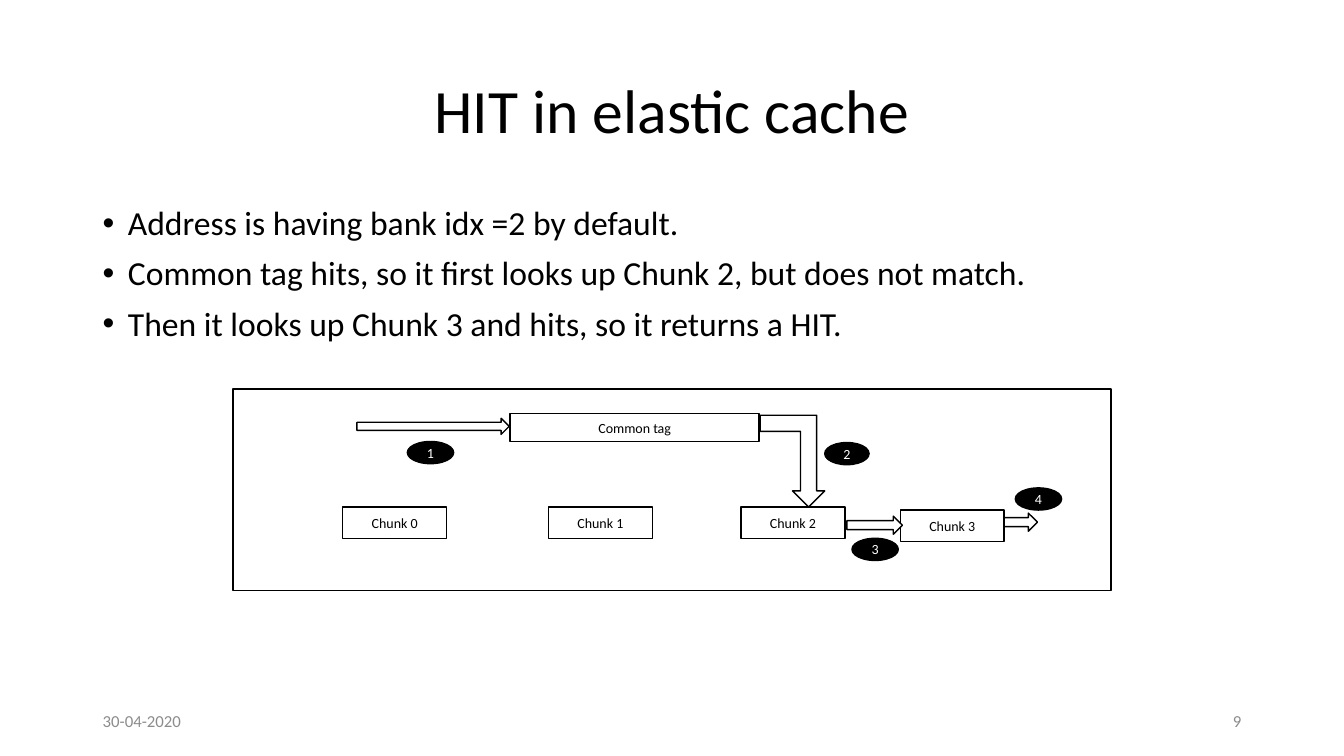
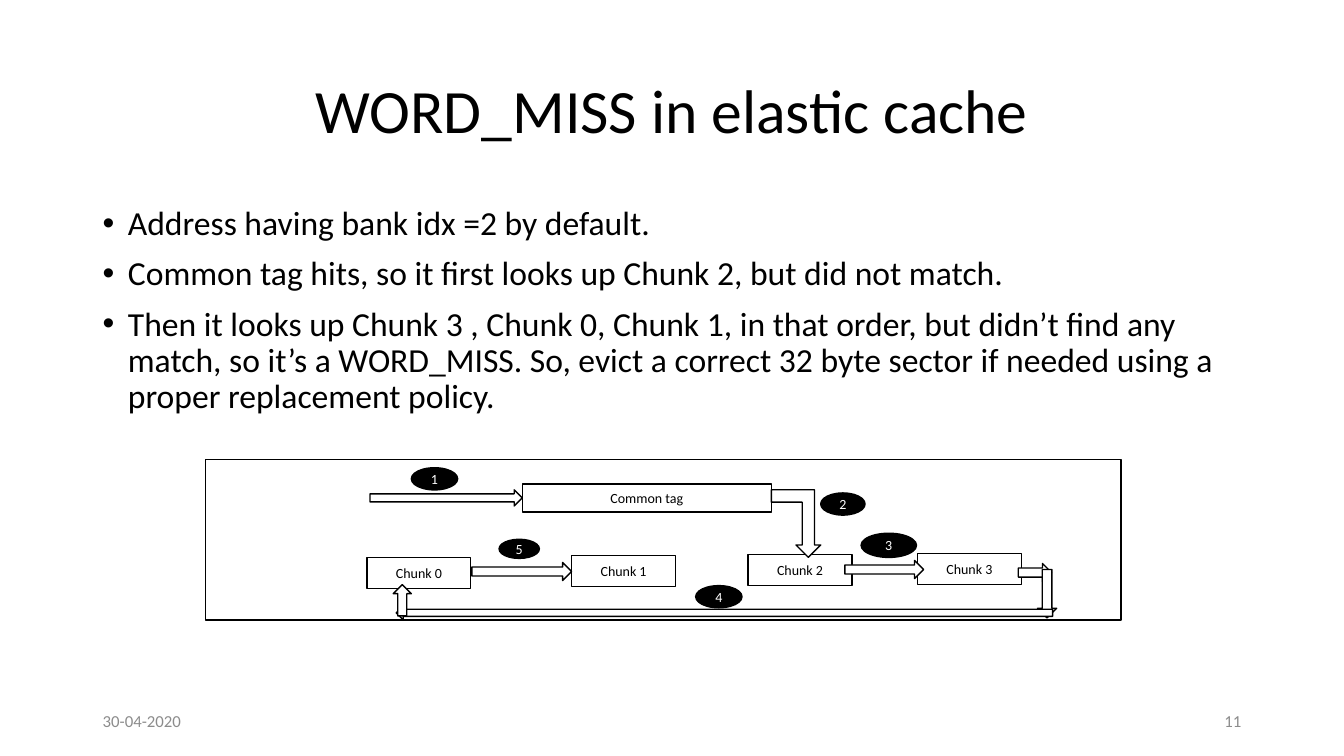
from dataclasses import dataclass

from lxml.etree import SubElement
from pptx import Presentation
from pptx.dml.color import RGBColor
from pptx.enum.shapes import MSO_SHAPE as Preset
from pptx.enum.text import MSO_ANCHOR as Anchor, PP_ALIGN as Align
from pptx.oxml.ns import qn
from pptx.util import Inches, Pt


@dataclass(frozen=True)
class Theme:
    """Colours, type sizes and line width of both slides."""
    font: str = "Calibri"
    ink: str = "000000"
    paper: str = "FFFFFF"
    muted: str = "8C8C8C"
    title: int = 44
    body: int = 24
    footer: int = 12
    label: int = 10
    line: int = 1


theme = Theme()
WIDTH, HEIGHT = 13.33, 7.5
MARGIN = 0.92
CONTENT_WIDTH = WIDTH - 2 * MARGIN
FOOTER_TOP, FOOTER_WIDTH, FOOTER_HEIGHT = 6.95, 3, 0.4
CHUNK_SIZE = (1.03, 0.31)
TAG_SIZE = (2.47, 0.28)
BADGE_SIZE = (0.46, 0.22)


def write_text(shape, lines, size, color, align, anchor=Anchor.MIDDLE):
    """Put one paragraph per line into a shape and format its runs."""
    frame = shape.text_frame
    frame.word_wrap = True
    frame.vertical_anchor = anchor
    frame.text = "\n".join(lines)
    for paragraph in frame.paragraphs:
        paragraph.alignment = align
        for run in paragraph.runs:
            run.font.name = theme.font
            run.font.size = Pt(size)
            run.font.color.rgb = RGBColor.from_string(color)
    return frame.paragraphs


def add_block(slide, preset, box, label="", fill=theme.paper, color=theme.ink):
    """Add an outlined preset shape, with a small centred label if given."""
    shape = slide.shapes.add_shape(preset, *map(Inches, box))
    shape.shadow.inherit = False
    shape.fill.solid()
    shape.fill.fore_color.rgb = RGBColor.from_string(fill)
    shape.line.color.rgb = RGBColor.from_string(theme.ink)
    shape.line.width = Pt(theme.line)
    if label:
        frame = shape.text_frame
        frame.margin_left = frame.margin_right = 0
        frame.margin_top = frame.margin_bottom = 0
        write_text(shape, [label], theme.label, color, Align.CENTER)
    return shape


# Chunks are listed in number order as (left, top); badges in step order.
slides = [
    {
        "title": "HIT in elastic cache",
        "number": "9",
        "bullets": [
            "Address is having bank idx =2 by default.",
            "Common tag hits, so it first looks up Chunk 2, but does not match.",
            "Then it looks up Chunk 3 and hits, so it returns a HIT.",
        ],
        "frame": (2.31, 3.86, 8.71, 2),
        "tag": (5.06, 4.1),
        "chunks": [(3.4, 5.03), (5.44, 5.03), (7.35, 5.03), (8.93, 5.06)],
        "arrows": [
            (Preset.RIGHT_ARROW, (3.54, 4.15, 1.51, 0.16)),
            (Preset.BENT_UP_ARROW, (7.54, 4.12, 0.64, 0.91)),
            (Preset.RIGHT_ARROW, (8.4, 5.12, 0.55, 0.18)),
            (Preset.RIGHT_ARROW, (9.96, 5.09, 0.33, 0.18)),
        ],
        "badges": [
            (4.04, 4.38, *BADGE_SIZE),
            (8.18, 4.39, 0.44, 0.22),
            (8.45, 5.34, *BADGE_SIZE),
            (10.07, 4.84, *BADGE_SIZE),
        ],
    },
    {
        "title": "WORD_MISS in elastic cache",
        "number": "11",
        "bullets": [
            "Address having bank idx =2 by default.",
            "Common tag hits, so it first looks up Chunk 2, but did not match.",
            "Then it looks up Chunk 3 , Chunk 0, Chunk 1, in that order, but "
            "didn’t find any match, so it’s a WORD_MISS. So, evict a correct "
            "32 byte sector if needed using a proper replacement policy.",
        ],
        "frame": (2.04, 4.56, 9.08, 1.59),
        "tag": (5.18, 4.8),
        "chunks": [(3.64, 5.53), (5.67, 5.51), (7.42, 5.5), (9.1, 5.49)],
        "arrows": [
            (Preset.RIGHT_ARROW, (3.67, 4.86, 1.51, 0.16)),
            (Preset.BENT_UP_ARROW, (7.65, 4.86, 0.49, 0.67)),
            (Preset.RIGHT_ARROW, (8.38, 5.56, 0.78, 0.18)),
            (Preset.RIGHT_ARROW, (10.1, 5.59, 0.33, 0.18)),
            (Preset.DOWN_ARROW, (10.29, 5.65, 0.19, 0.48)),
            (Preset.LEFT_ARROW, (3.93, 6.01, 6.51, 0.14)),
            (Preset.UP_ARROW, (3.9, 5.8, 0.18, 0.31)),
            (Preset.RIGHT_ARROW, (4.68, 5.58, 0.99, 0.18)),
        ],
        "badges": [
            (4.08, 4.64, *BADGE_SIZE),
            (8.14, 4.89, 0.44, 0.22),
            (8.54, 5.29, 0.55, 0.24),
            (6.9, 5.81, *BADGE_SIZE),
            (4.95, 5.35, 0.4, 0.19),
        ],
    },
]

presentation = Presentation()
presentation.slide_width = Inches(WIDTH)
presentation.slide_height = Inches(HEIGHT)
blank_layout = presentation.slide_layouts[6]

for content in slides:
    slide = presentation.slides.add_slide(blank_layout)

    title_box = slide.shapes.add_textbox(
        *map(Inches, (MARGIN, 0.4, CONTENT_WIDTH, 1.45)))
    for paragraph in write_text(title_box, [content["title"]], theme.title,
                                theme.ink, Align.CENTER):
        paragraph.line_spacing = 0.9

    body_box = slide.shapes.add_textbox(
        *map(Inches, (MARGIN, 2, CONTENT_WIDTH, 4.76)))
    for paragraph in write_text(body_box, content["bullets"], theme.body,
                                theme.ink, Align.LEFT, Anchor.TOP):
        paragraph.line_spacing = 0.9
        paragraph.space_before = Pt(10)
        properties = paragraph._p.get_or_add_pPr()
        properties.set("marL", str(Inches(0.25)))
        properties.set("indent", str(-Inches(0.25)))
        SubElement(properties, qn("a:buFont")).set("typeface", "Arial")
        SubElement(properties, qn("a:buChar")).set("char", "•")

    add_block(slide, Preset.RECTANGLE, content["frame"])
    add_block(slide, Preset.RECTANGLE, (*content["tag"], *TAG_SIZE), "Common tag")
    for number, position in enumerate(content["chunks"]):
        add_block(slide, Preset.RECTANGLE, (*position, *CHUNK_SIZE),
                  f"Chunk {number}")
    for preset, box in content["arrows"]:
        arrow = add_block(slide, preset, box)
        if preset == Preset.BENT_UP_ARROW:
            arrow._element.spPr.find(qn("a:xfrm")).set("flipV", "1")
    for step, box in enumerate(content["badges"], start=1):
        add_block(slide, Preset.FLOWCHART_CONNECTOR, box, str(step),
                  theme.ink, theme.paper)

    for left, text, align in [
        (WIDTH - MARGIN - FOOTER_WIDTH, content["number"], Align.RIGHT),
        (MARGIN, "30-04-2020", Align.LEFT),
    ]:
        footer_box = slide.shapes.add_textbox(
            *map(Inches, (left, FOOTER_TOP, FOOTER_WIDTH, FOOTER_HEIGHT)))
        write_text(footer_box, [text], theme.footer, theme.muted, align)

presentation.save("out.pptx")
